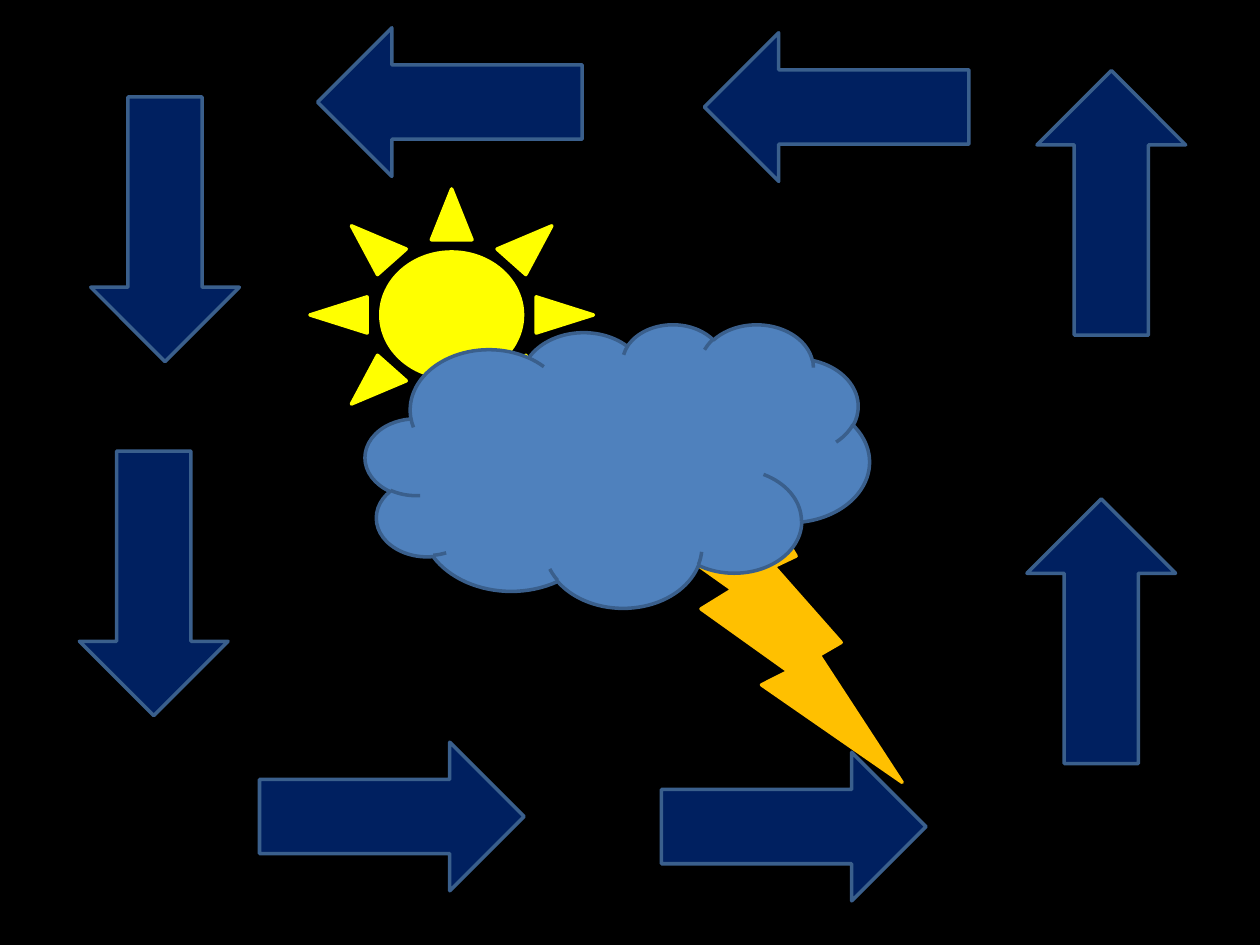
from pptx import Presentation
from pptx.dml.color import RGBColor
from pptx.enum.shapes import MSO_SHAPE
from pptx.util import Inches, Pt


def color(hex_value):
    return RGBColor.from_string(hex_value)


class WeatherSlide:
    BACKGROUND = "000000"
    OUTLINE = "3A5F8C"
    ARROW_FILL = "002060"
    ARROW_SIZE = (1.18, 2.1)
    LINE_WIDTH = 2

    def __init__(self, prs):
        self.slide = prs.slides.add_slide(prs.slide_layouts[6])
        fill = self.slide.background.fill
        fill.solid()
        fill.fore_color.rgb = color(self.BACKGROUND)

    def shape(self, kind, left, top, width, height, fill, line):
        sp = self.slide.shapes.add_shape(
            kind, Inches(left), Inches(top), Inches(width), Inches(height))
        sp.shadow.inherit = False
        sp.fill.solid()
        sp.fill.fore_color.rgb = color(fill)
        sp.line.color.rgb = color(line)
        sp.line.width = Pt(self.LINE_WIDTH)
        return sp

    def arrow(self, left, top, rotation):
        sp = self.shape(MSO_SHAPE.DOWN_ARROW, left, top, *self.ARROW_SIZE,
                        self.ARROW_FILL, self.OUTLINE)
        sp.rotation = rotation


prs = Presentation()
prs.slide_width, prs.slide_height = Inches(10), Inches(7.5)
weather = WeatherSlide(prs)

# Weather symbols, the cloud in front
weather.shape(MSO_SHAPE.LIGHTNING_BOLT, 5.08, 3.71, 2.08, 2.5, "FFC000", "FFC000")
weather.shape(MSO_SHAPE.SUN, 2.46, 1.5, 2.25, 2, "FFFF00", "FFFF00")
weather.shape(MSO_SHAPE.CLOUD, 2.9, 2.57, 4, 2.25, "4F81BD", weather.OUTLINE)

# Counter-clockwise ring of arrows: rotation and unrotated positions
DOWN, LEFT, UP, RIGHT = 0, 90, 180, 270
ring = {
    RIGHT: [(5.71, 5.51), (2.52, 5.43)],
    UP: [(8.15, 3.96), (8.23, 0.56)],
    DOWN: [(0.63, 3.58), (0.72, 0.77)],
    LEFT: [(2.98, -0.24), (6.05, -0.2)],
}
for rotation, positions in ring.items():
    for left, top in positions:
        weather.arrow(left, top, rotation)

prs.save("out.pptx")
